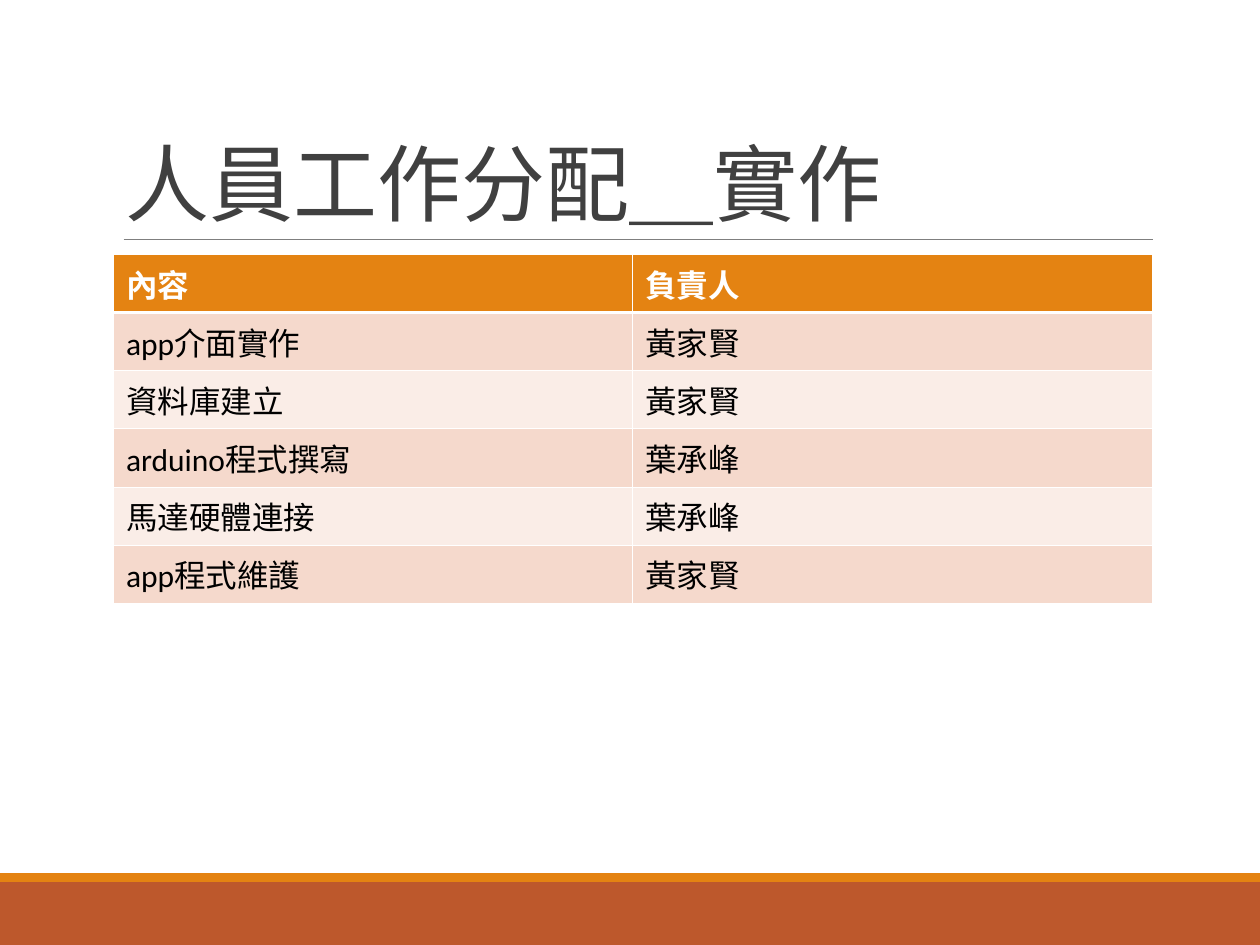
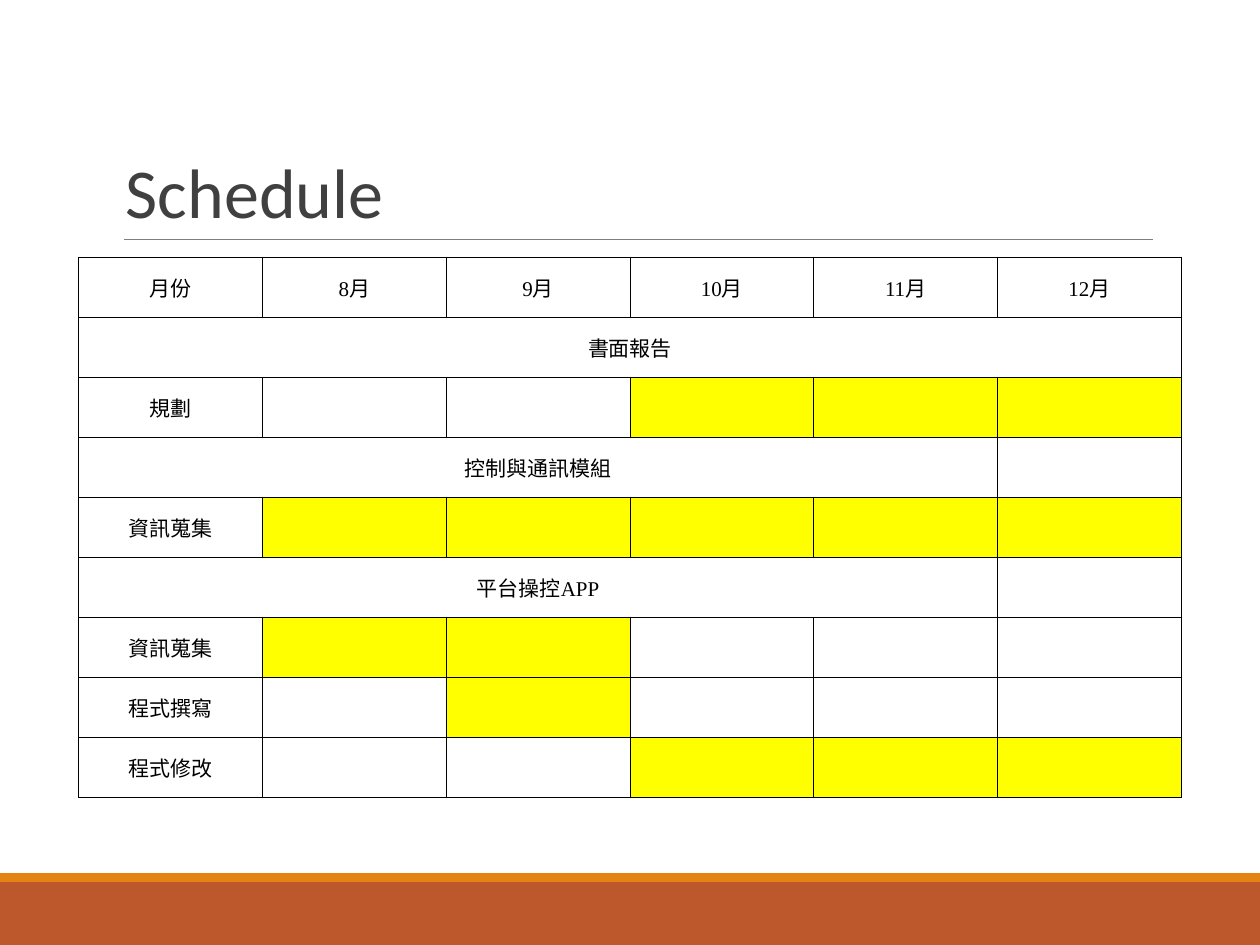
from dataclasses import dataclass

from lxml import etree
from pptx import Presentation
from pptx.dml.color import RGBColor
from pptx.enum import shapes, text
from pptx.oxml.ns import qn
from pptx.util import Pt


@dataclass(frozen=True)
class Theme:
    rust: str = "BD582C"
    orange: str = "E48312"
    rule: str = "7F7F7F"
    title: str = "404040"
    black: str = "000000"
    white: str = "FFFFFF"
    band_dark: str = "F5D9CC"
    band_light: str = "FAEDE7"
    busy: str = "FFFF00"
    title_font: str = "Calibri"
    schedule_font: str = "Times New Roman"
    duty_title_size: float = 48
    schedule_title_size: float = 40
    duty_size: float = 18
    schedule_size: float = 12
    thin: float = 0.45
    thick: float = 1.47


@dataclass(frozen=True)
class Band:
    top: float
    height: float
    color: str


@dataclass(frozen=True)
class Grid:
    left: float
    top: float
    column_width: float
    row_height: float
    columns: int
    rows: int


@dataclass(frozen=True)
class CellStyle:
    font: str
    size: float
    color: str
    fill: str | None = None
    bold: bool = False
    centered: bool = False


@dataclass(frozen=True)
class ScheduleRow:
    label: str
    busy_months: tuple[int, ...] = ()
    span: int = 1


THEME = Theme()
SLIDE_WIDTH, SLIDE_HEIGHT = 720, 540
FOOTER = (Band(504, 36, THEME.rust), Band(499, 5, THEME.orange))
CONTENT_LEFT, CONTENT_WIDTH = 64.8, 594
TITLE_TOP, TITLE_HEIGHT = 22.2, 114.4
RULE_LEFT, RULE_RIGHT, RULE_Y = 70.6, 659, 136.8

DUTIES = (
    ("內容", "負責人"),
    ("app介面實作", "黃家賢"),
    ("資料庫建立", "黃家賢"),
    ("arduino程式撰寫", "葉承峰"),
    ("馬達硬體連接", "葉承峰"),
    ("app程式維護", "黃家賢"),
)
MONTHS = tuple(range(8, 13))
SCHEDULE = (
    ScheduleRow("書面報告", span=6),
    ScheduleRow("規劃", (10, 11, 12)),
    ScheduleRow("控制與通訊模組", span=5),
    ScheduleRow("資訊蒐集", MONTHS),
    ScheduleRow("平台操控APP", span=5),
    ScheduleRow("資訊蒐集", (8, 9)),
    ScheduleRow("程式撰寫", (9,)),
    ScheduleRow("程式修改", (10, 11, 12)),
)


def rgb(color: str) -> RGBColor:
    return RGBColor.from_string(color)


def add_footer(slide) -> None:
    for band in FOOTER:
        bar = slide.shapes.add_shape(
            shapes.MSO_SHAPE.RECTANGLE, 0, Pt(band.top), Pt(SLIDE_WIDTH), Pt(band.height))
        bar.shadow.inherit = False
        bar.fill.solid()
        bar.fill.fore_color.rgb = rgb(band.color)
        bar.line.fill.background()


def add_title_rule(slide) -> None:
    rule = slide.shapes.add_connector(
        shapes.MSO_CONNECTOR.STRAIGHT, Pt(RULE_LEFT), Pt(RULE_Y), Pt(RULE_RIGHT), Pt(RULE_Y))
    rule.line.color.rgb = rgb(THEME.rule)
    rule.line.width = Pt(0.5)
    etree.SubElement(rule._element.spPr, qn("a:effectLst"))


def add_titled_slide(deck, title: str, size: float):
    slide = deck.slides.add_slide(deck.slide_layouts[6])
    add_footer(slide)
    add_title_rule(slide)
    frame = slide.shapes.add_textbox(
        Pt(CONTENT_LEFT), Pt(TITLE_TOP), Pt(CONTENT_WIDTH), Pt(TITLE_HEIGHT)).text_frame
    frame.word_wrap = True
    frame.vertical_anchor = text.MSO_ANCHOR.BOTTOM
    heading = frame.paragraphs[0]
    heading.text = title
    heading.line_spacing = 0.85
    heading.font.name = THEME.title_font
    heading.font.size = Pt(size)
    heading.font.color.rgb = rgb(THEME.title)
    return slide


def add_grid(slide, grid: Grid):
    table = slide.shapes.add_table(
        grid.rows, grid.columns, Pt(grid.left), Pt(grid.top),
        Pt(grid.column_width * grid.columns), Pt(grid.row_height * grid.rows)).table
    table.first_row = table.horz_banding = False
    return table


def set_borders(cell, color: str, top: float = THEME.thin, bottom: float = THEME.thin) -> None:
    """Put the four edge lines ahead of the cell's fill, as the schema requires."""
    properties = cell._tc.get_or_add_tcPr()
    widths = {"lnL": THEME.thin, "lnR": THEME.thin, "lnT": top, "lnB": bottom}
    for position, (edge, width) in enumerate(widths.items()):
        line = etree.Element(qn(f"a:{edge}"), w=str(Pt(width)))
        fill = etree.SubElement(line, qn("a:solidFill"))
        etree.SubElement(fill, qn("a:srgbClr"), val=color)
        properties.insert(position, line)


def style_cell(cell, content: str, style: CellStyle) -> None:
    if style.fill:
        cell.fill.solid()
        cell.fill.fore_color.rgb = rgb(style.fill)
    else:
        cell.fill.background()
    paragraph = cell.text_frame.paragraphs[0]
    paragraph.text = content
    paragraph.font.name = style.font
    paragraph.font.size = Pt(style.size)
    paragraph.font.bold = style.bold
    paragraph.font.color.rgb = rgb(style.color)
    if style.centered:
        paragraph.alignment = text.PP_ALIGN.CENTER
        cell.vertical_anchor = text.MSO_ANCHOR.MIDDLE


def add_duty_table(slide) -> None:
    table = add_grid(slide, Grid(CONTENT_LEFT, 145.4, 296.8, 33.25, 2, len(DUTIES)))
    for row, duty in enumerate(DUTIES):
        is_header = row == 0
        if is_header:
            fill = THEME.orange
        else:
            fill = THEME.band_dark if row % 2 else THEME.band_light
        style = CellStyle(THEME.title_font, THEME.duty_size,
                          THEME.white if is_header else THEME.black, fill, bold=is_header)
        for column, content in enumerate(duty):
            cell = table.cell(row, column)
            style_cell(cell, content, style)
            set_borders(cell, THEME.white,
                        top=THEME.thick if row == 1 else THEME.thin,
                        bottom=THEME.thick if is_header else THEME.thin)


def add_schedule_table(slide) -> None:
    table = add_grid(slide, Grid(45, 146.9, 105, 34.3, len(MONTHS) + 1, len(SCHEDULE) + 1))
    header = ("月份", *(f"{month}月" for month in MONTHS))
    blanks = ("",) * len(MONTHS)
    lines = [(header, ())] + [((task.label, *blanks), task.busy_months) for task in SCHEDULE]
    for row, (contents, busy_months) in enumerate(lines):
        for column, content in enumerate(contents):
            is_busy = column > 0 and MONTHS[column - 1] in busy_months
            cell = table.cell(row, column)
            style_cell(cell, content, CellStyle(
                THEME.schedule_font, THEME.schedule_size, THEME.black,
                THEME.busy if is_busy else None, centered=True))
            set_borders(cell, THEME.black)
    for row, task in enumerate(SCHEDULE, start=1):
        if task.span > 1:
            table.cell(row, 0).merge(table.cell(row, task.span - 1))


def main() -> None:
    deck = Presentation()
    deck.slide_width, deck.slide_height = Pt(SLIDE_WIDTH), Pt(SLIDE_HEIGHT)
    add_duty_table(add_titled_slide(deck, "人員工作分配＿實作", THEME.duty_title_size))
    add_schedule_table(add_titled_slide(deck, "Schedule", THEME.schedule_title_size))
    deck.save("out.pptx")


if __name__ == "__main__":
    main()
